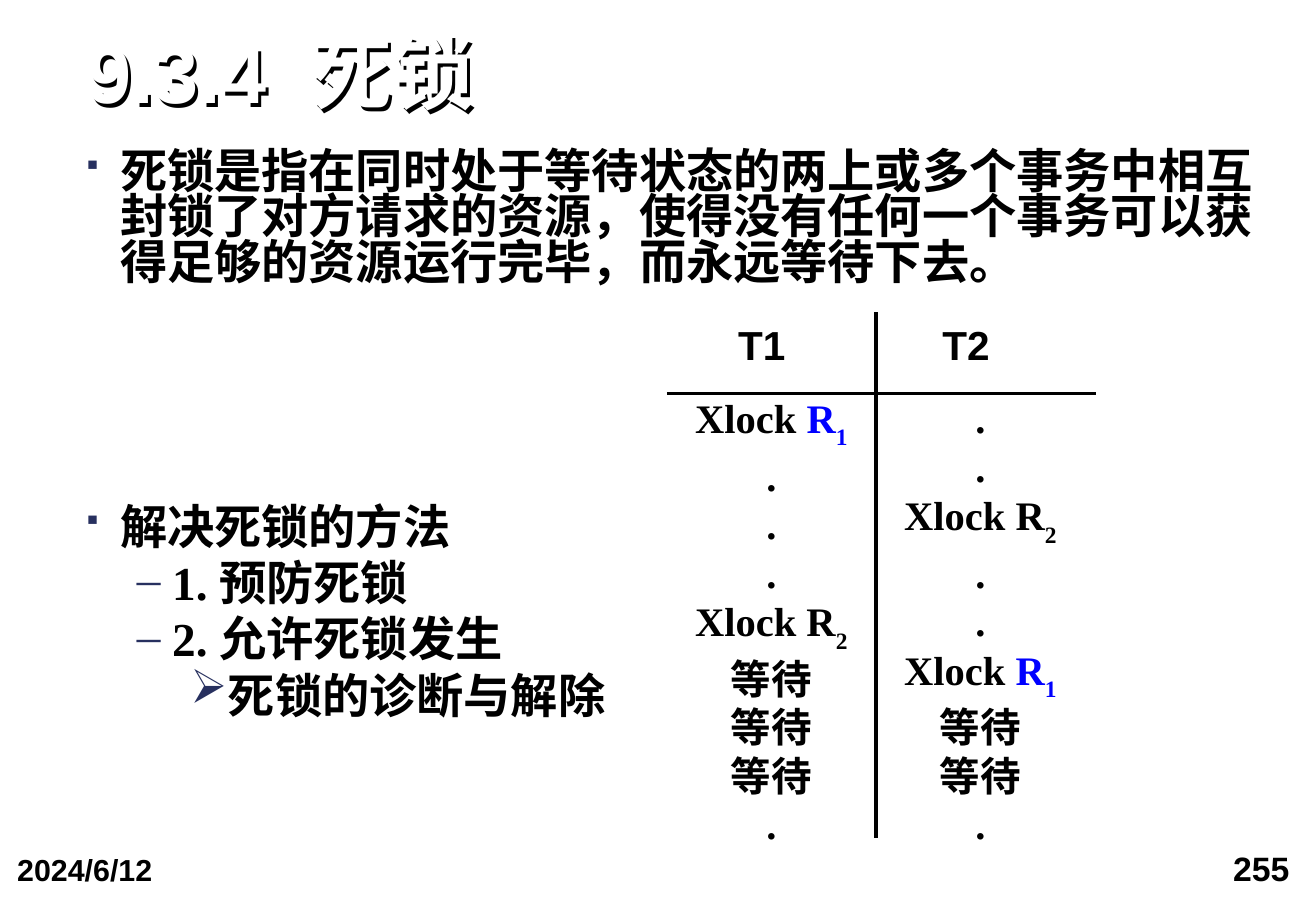
from dataclasses import dataclass

from lxml import etree
from pptx import Presentation
from pptx.dml.color import RGBColor
from pptx.enum import shapes, text
from pptx.oxml import ns
from pptx.util import Cm, Pt


@dataclass(frozen=True)
class Theme:
    black: str = "000000"
    white: str = "FFFFFF"
    blue: str = "0000FF"
    navy: str = "27305F"
    sans: str = "Arial"
    serif: str = "Times New Roman"
    signs: str = "Wingdings"
    title: int = 48
    body: int = 28
    cell: int = 24
    page: int = 20
    date: int = 18
    rule: float = 2.25


T = Theme()
LEFT, CENTER, RIGHT = text.PP_ALIGN.LEFT, text.PP_ALIGN.CENTER, text.PP_ALIGN.RIGHT
TOP, MIDDLE, BOTTOM = text.MSO_ANCHOR.TOP, text.MSO_ANCHOR.MIDDLE, text.MSO_ANCHOR.BOTTOM
# Bullet sign, font, size in percent, text indent and hanging indent in cm, by level
BULLETS = [
    ("§", T.signs, 60, 0.71, 0.71),
    ("–", T.serif, 100, 1.8, 0.74),
    ("Ø", T.signs, 100, 2.87, 0.69),
]


def node(parent, tag, **attrs):
    return etree.SubElement(parent, ns.qn(tag), **attrs)


def write(par, words, size, font=T.serif, color=T.black, align=LEFT, space=1.0, before=0, sub=False):
    """Add one run to a paragraph; sub lowers it as an index."""
    par.alignment, par.line_spacing, par.space_before = align, space, Pt(before)
    run = par.add_run()
    run.text = words
    run.font.name, run.font.size, run.font.bold = font, Pt(size), True
    run.font.color.rgb = RGBColor.from_string(color)
    if sub:
        run.font._element.set("baseline", "-30000")


def setup(frame, inset=(0, 0), anchor=TOP):
    frame.word_wrap, frame.auto_size = True, text.MSO_AUTO_SIZE.NONE
    frame.vertical_anchor = anchor
    frame.margin_left = frame.margin_right = Cm(inset[0])
    frame.margin_top = frame.margin_bottom = Cm(inset[1])
    return frame


def add_box(slide, box, **kind):
    return setup(slide.shapes.add_textbox(*map(Cm, box)).text_frame, **kind)


def pars(frame, items):
    """Yield each item with a paragraph of its own."""
    for i, item in enumerate(items):
        yield (frame.add_paragraph() if i else frame.paragraphs[0]), item


def add_title(slide, box, words):
    """Set the white title, which shows by the shadow of its unfilled shape."""
    shape = slide.shapes.title
    shape.left, shape.top, shape.width, shape.height = map(Cm, box)
    frame = setup(shape.text_frame, anchor=BOTTOM)
    write(frame.paragraphs[0], words, T.title, T.sans, T.white, space=0.9)
    shape.fill.background()
    shape.shadow.inherit = False
    effects = shape._element.spPr.find(ns.qn("a:effectLst"))
    shade = node(effects, "a:outerShdw", dist="35921", dir="2700000", algn="ctr", rotWithShape="0")
    node(shade, "a:srgbClr", val=T.black)


def add_bullet(par, level):
    sign, font, size, left, hang = BULLETS[level]
    par.level = level
    props = par._p.get_or_add_pPr()
    props.set("marL", str(Cm(left)))
    props.set("indent", str(-Cm(hang)))
    node(node(props, "a:buClr"), "a:srgbClr", val=T.navy)
    node(props, "a:buSzPct", val=str(size * 1000))
    face = node(props, "a:buFont", typeface=font)
    if font == T.signs:
        face.set("charset", "2")
    node(props, "a:buChar", char=sign)


def add_list(slide, box, items, space):
    first = True
    for par, (level, words) in pars(add_box(slide, box), items):
        add_bullet(par, level)
        write(par, words, T.body, space=space, before=0 if first else 9.8)
        first = False


def add_rule(slide, *ends):
    line = slide.shapes.add_connector(shapes.MSO_CONNECTOR.STRAIGHT, *map(Cm, ends))
    line.line.color.rgb = RGBColor.from_string(T.black)
    line.line.width = Pt(T.rule)
    node(line._element.spPr, "a:effectLst")


def add_steps(slide, box, steps):
    """Write a column of steps; a step may be (verb, resource, index, colour)."""
    frame = add_box(slide, box, inset=(0.25, 0.13), anchor=MIDDLE)
    for par, step in pars(frame, steps):
        if isinstance(step, str):
            write(par, step, T.cell, align=CENTER)
            continue
        verb, name, index, color = step
        write(par, verb, T.cell, align=CENTER)
        write(par, name, T.cell, color=color, align=CENTER)
        write(par, index, T.cell, color=color, align=CENTER, sub=True)


def add_schedule(slide, box, columns):
    left, top, width, height = box
    col, head = 4.37, 1.7
    add_rule(slide, left, top + head, left + width, top + head)
    add_rule(slide, left + col, top, left + col, top + height)
    for i, (name, steps) in enumerate(columns):
        x = left + i * col
        label = add_box(slide, (x - 0.2 - i * 0.1, top + 0.15, col, 1.17), anchor=MIDDLE)
        write(label.paragraphs[0], name, T.cell, T.sans, align=CENTER, space=0.9)
        add_steps(slide, (x, top + head + 0.2, col, height - head - 0.2), steps)


def add_note(slide, box, words, size, align):
    frame = add_box(slide, box, inset=(0.33, 0.15))
    write(frame.paragraphs[0], words, size, T.sans, align=align)


def main():
    deck = Presentation()
    deck.slide_width, deck.slide_height = Cm(27.51), Cm(19.05)
    slide = deck.slides.add_slide(deck.slide_layouts[5])
    left, width = 1.8, 24.51

    add_title(slide, (left, 0.71, width, 1.83), "9.3.4  死锁")
    add_list(slide, (left, 3.18, width, 3), [
        (0, "死锁是指在同时处于等待状态的两上或多个事务中相互封锁了对方请求的资源，"
            "使得没有任何一个事务可以获得足够的资源运行完毕，而永远等待下去。"),
    ], 0.8)
    add_list(slide, (left, 10.72, 12, 4.8), [
        (0, "解决死锁的方法"),
        (1, "1. 预防死锁"),
        (1, "2. 允许死锁发生"),
        (2, "死锁的诊断与解除"),
    ], 0.7)

    first = ("Xlock ", "R", "1", T.blue)
    second = ("Xlock ", "R", "2", T.black)
    wait = "等待"
    add_schedule(slide, (13.94, 6.53, 8.97, 11), [
        ("T1", [first, ".", ".", ".", second, wait, wait, wait, "."]),
        ("T2", [".", ".", second, ".", ".", first, wait, wait, "."]),
    ])
    add_note(slide, (0.03, 17.65, 6.38, 1.4), "2024/6/12", T.date, LEFT)
    add_note(slide, (20.33, 17.58, 6.96, 1.47), "255", T.page, RIGHT)
    deck.save("out.pptx")


if __name__ == "__main__":
    main()
